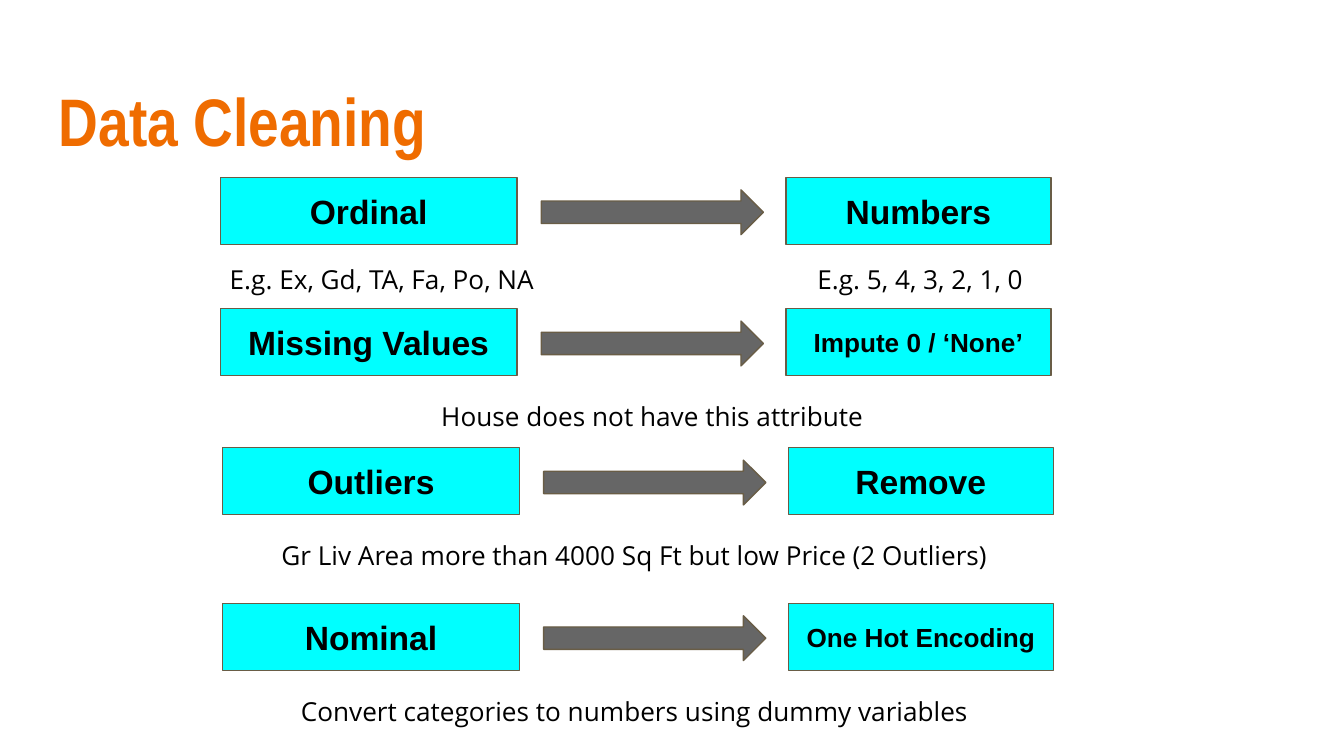
import pptx
import pptx.util
import pptx.dml.color
import pptx.enum.shapes
import pptx.enum.text

Pt = pptx.util.Pt
RGBColor = pptx.dml.color.RGBColor
MSO_SHAPE = pptx.enum.shapes.MSO_SHAPE
PP_ALIGN = pptx.enum.text.PP_ALIGN
MSO_ANCHOR = pptx.enum.text.MSO_ANCHOR

ORANGE = RGBColor(0xEF, 0x6C, 0x00)
CYAN = RGBColor(0x00, 0xFF, 0xFF)
GRAY = RGBColor(0x66, 0x66, 0x66)
BROWN = RGBColor(0x69, 0x5D, 0x46)
BLACK = RGBColor(0x00, 0x00, 0x00)

# Content: issue, treatment, treatment size, left, top and notes of each step
# A note is its text, left, width, distance below the row top, alignment
TITLE = "Data Cleaning"
STEPS = [
    ("Ordinal", "Numbers", 18, 118, 95, [
        ("E.g. Ex, Gd, TA, Fa, Po, NA", 116, 205, 39, PP_ALIGN.LEFT),
        ("E.g. 5, 4, 3, 2, 1, 0", 413.5, 159, 39, PP_ALIGN.CENTER)]),
    ("Missing Values", "Impute 0 / ‘None’", 14, 118, 165.3, [
        ("House does not have this attribute", 182, 335, 42, PP_ALIGN.CENTER)]),
    ("Outliers", "Remove", 18, 119.3, 239.8, [
        ("Gr Liv Area more than 4000 Sq Ft but low Price (2 Outliers)",
         117, 446, 42, PP_ALIGN.CENTER)]),
    ("Nominal", "One Hot Encoding", 14, 119.3, 323.2, [
        ("Convert categories to numbers using dummy variables",
         117, 446, 42, PP_ALIGN.CENTER)]),
]

# Layout of one row
ISSUE_WIDTH, TREATMENT_WIDTH, BOX_HEIGHT = 159, 142, 36
ARROW_OFFSET, ARROW_WIDTH, ARROW_HEIGHT = 172, 119, 24
TREATMENT_OFFSET = 303
NOTE_HEIGHT = 28
INSET = 7.2

TITLE_FONT = {"name": "Arial Narrow", "size": Pt(36), "bold": True}
BOX_FONT = {"name": "Arial", "bold": True}
NOTE_FONT = {"name": "Open Sans", "size": Pt(14), "bold": False}


def write(shape, text, font, color=BLACK, align=PP_ALIGN.CENTER, anchor=MSO_ANCHOR.TOP):
    frame = shape.text_frame
    frame_format = {"word_wrap": True, "vertical_anchor": anchor}
    for side in ("left", "top", "right", "bottom"):
        frame_format["margin_" + side] = Pt(INSET)
    for name, value in frame_format.items():
        setattr(frame, name, value)
    paragraph = frame.paragraphs[0]
    paragraph.text = text
    paragraph.alignment = align
    for name, value in font.items():
        setattr(paragraph.font, name, value)
    paragraph.font.color.rgb = color


def add_text(slide, bounds, text, font, **style):
    write(slide.shapes.add_textbox(*map(Pt, bounds)), text, font, **style)


def add_filled(slide, kind, bounds, fill):
    shape = slide.shapes.add_shape(kind, *map(Pt, bounds))
    shape.shadow.inherit = False
    shape.fill.solid()
    shape.fill.fore_color.rgb = fill
    shape.line.color.rgb = BROWN
    shape.line.width = Pt(0.75)
    return shape


def add_box(slide, left, top, width, text, size):
    box = add_filled(slide, MSO_SHAPE.RECTANGLE, (left, top, width, BOX_HEIGHT), CYAN)
    write(box, text, {**BOX_FONT, "size": Pt(size)}, anchor=MSO_ANCHOR.MIDDLE)


def main():
    presentation = pptx.Presentation()
    presentation.slide_width, presentation.slide_height = Pt(720), Pt(405)
    slide = presentation.slides.add_slide(presentation.slide_layouts[6])

    add_text(slide, (24.5, 35.3, 671, 55.4), TITLE, TITLE_FONT,
             color=ORANGE, align=PP_ALIGN.LEFT)

    # Each row: issue, arrow, treatment, notes below
    for issue, treatment, size, left, top, notes in STEPS:
        add_box(slide, left, top, ISSUE_WIDTH, issue, 18)
        arrow_top = top + (BOX_HEIGHT - ARROW_HEIGHT) / 2 + 0.7
        add_filled(slide, MSO_SHAPE.RIGHT_ARROW,
                   (left + ARROW_OFFSET, arrow_top, ARROW_WIDTH, ARROW_HEIGHT), GRAY)
        add_box(slide, left + TREATMENT_OFFSET, top, TREATMENT_WIDTH, treatment, size)
        for text, note_left, width, drop, align in notes:
            add_text(slide, (note_left, top + drop, width, NOTE_HEIGHT), text,
                     NOTE_FONT, align=align)

    presentation.save("out.pptx")


if __name__ == "__main__":
    main()
